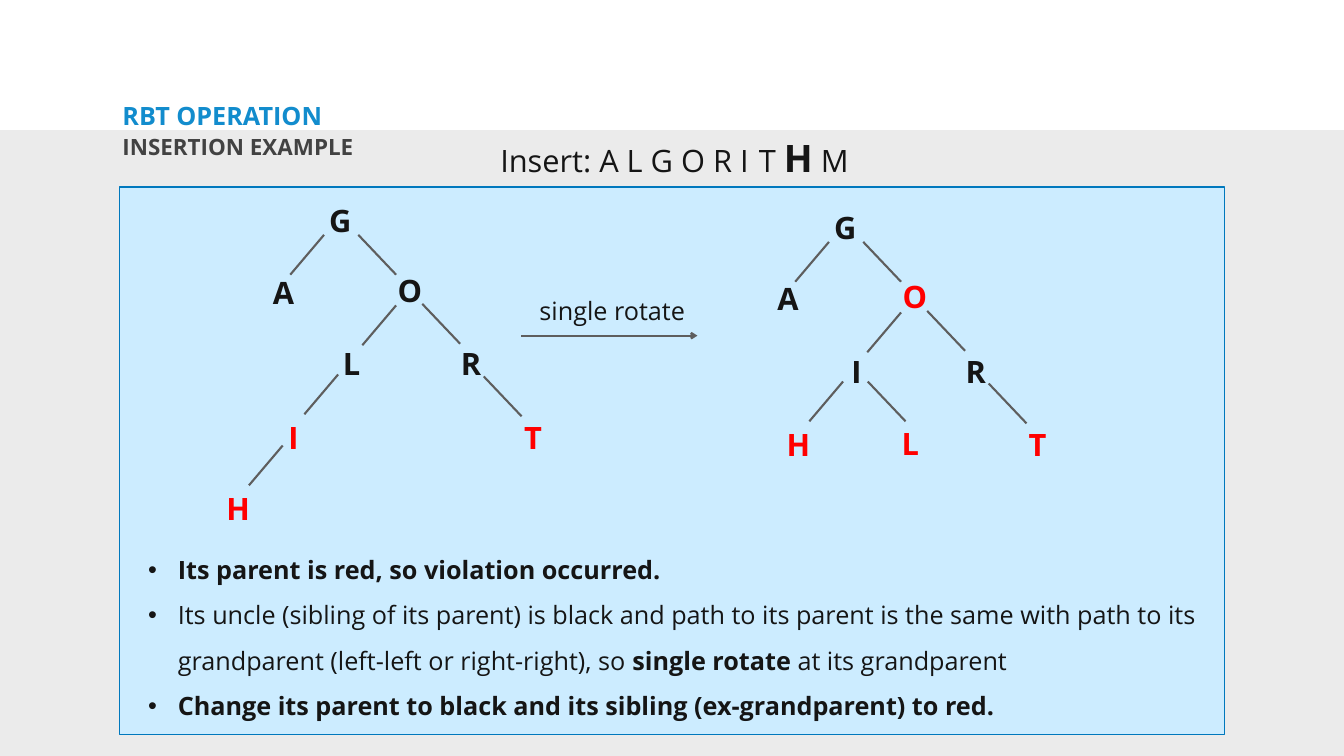
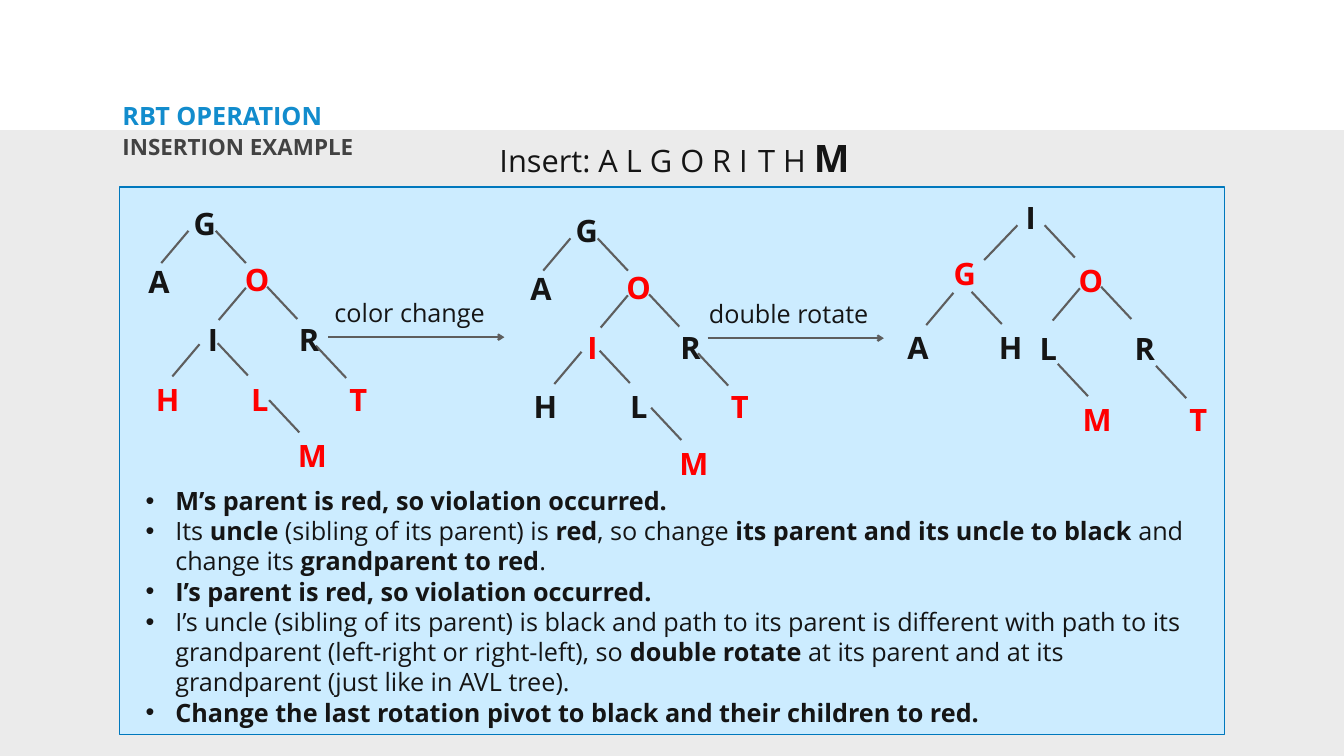
from lxml import etree
from pptx import Presentation
from pptx.dml.color import RGBColor
from pptx.enum.shapes import MSO_CONNECTOR, MSO_SHAPE
from pptx.enum.text import MSO_ANCHOR, MSO_AUTO_SIZE, PP_ALIGN
from pptx.oxml.ns import qn
from pptx.util import Inches, Pt

STRAIGHT = MSO_CONNECTOR.STRAIGHT
RECTANGLE = MSO_SHAPE.RECTANGLE
LEFT, CENTER = PP_ALIGN.LEFT, PP_ALIGN.CENTER
TOP = MSO_ANCHOR.TOP
GROW = MSO_AUTO_SIZE.SHAPE_TO_FIT_TEXT

# Colours and type; strong_size is the size of the bold parts
THEME = {
    "font": "Open Sans",
    "band": RGBColor(0xEB, 0xEB, 0xEB),
    "panel": RGBColor(0xCC, 0xEC, 0xFF),
    "border": RGBColor(0x00, 0x78, 0xBD),
    "edge": RGBColor(0x5E, 0x5E, 0x5E),
    "ink": RGBColor(0x15, 0x15, 0x15),
    "red": RGBColor(0xFF, 0x00, 0x00),
    "title": {"size": 36, "color": RGBColor(0x12, 0x8C, 0xCD), "spacing": 0.8, "inset": 0.06},
    "subtitle": {"size": 32, "color": RGBColor(0x42, 0x42, 0x42), "spacing": 0.9, "inset": 0.06},
    "word": {"size": 44, "strong_size": 54, "align": CENTER, "wrap": False},
    "node": {"size": 44, "align": CENTER, "wrap": False},
    "step": {"size": 36, "align": CENTER},
    "notes": {"size": 36, "bullet": True},
}

# The slide is a grid of square cells, 15 rows high and 26.67 columns wide
ROWS, COLUMNS = 15, 26.67
deck = Presentation()
deck.slide_width, deck.slide_height = Inches(COLUMNS), Inches(ROWS)
CELL = deck.slide_height / ROWS

BAND_TOP = 2.58
PANEL = (2.37, 3.71, 21.93, 10.86)
NODE_HEIGHT = 0.84
NODE_WIDTHS = {"A": 0.63, "G": 0.65, "H": 0.67, "I": 0.41, "L": 0.55,
               "M": 0.78, "O": 0.69, "R": 0.61, "T": 0.56}
ARROW_LENGTH, STEP_WIDTH, STEP_RISE = 3.5, 3.78, 0.85

# Branches run from a start point along one of these vectors
LARGE_LEFT, LARGE_RIGHT = (-0.67, 0.79), (0.75, 0.79)
SMALL_LEFT, SMALL_RIGHT = (-0.54, 0.64), (0.6, 0.64)
WIDE_LEFT = (-0.66, 0.69)

LARGE_BRANCHES = [
    (6.43, 4.66, LARGE_LEFT), (7.11, 4.66, LARGE_RIGHT),
    (7.86, 6.06, LARGE_LEFT), (8.38, 6.03, LARGE_RIGHT),
    (6.71, 7.43, LARGE_LEFT), (9.6, 7.47, LARGE_RIGHT),
]
SMALL_BRANCHES = [
    (3.74, 4.58, SMALL_LEFT), (4.28, 4.58, SMALL_RIGHT),
    (4.88, 5.71, SMALL_LEFT), (5.3, 5.69, SMALL_RIGHT),
    (3.96, 6.83, SMALL_LEFT), (4.32, 6.81, SMALL_RIGHT),
    (6.27, 6.86, SMALL_RIGHT), (5.34, 7.94, SMALL_RIGHT),
]
ROTATED_BRANCHES = [
    (20.19, 4.47, WIDE_LEFT), (20.73, 4.47, SMALL_RIGHT),
    (18.92, 5.81, SMALL_LEFT), (19.28, 5.79, SMALL_RIGHT),
    (21.43, 5.72, SMALL_LEFT), (21.85, 5.69, SMALL_RIGHT),
    (20.99, 7.22, SMALL_RIGHT), (22.94, 7.26, SMALL_RIGHT),
]

# Slide content; text between asterisks is bold
SLIDES = [
    {
        "word": "Insert: A L G O R I* *T *H* M",
        "steps": [("single rotate", 10.26, 10.34, 6.66)],
        "trees": [
            {"red": "ITH", "shift": (0, 0),
             "branches": LARGE_BRANCHES + [(5.61, 8.84, LARGE_LEFT)],
             "nodes": {"G": (6.43, 3.96), "A": (5.31, 5.38), "O": (7.79, 5.34),
                       "L": (6.7, 6.8), "R": (9.04, 6.8), "I": (5.62, 8.25),
                       "T": (10.3, 8.25), "H": (4.39, 9.66)}},
            {"red": "OHLT", "shift": (10.02, 0.14),
             "branches": LARGE_BRANCHES + [(7.2, 7.43, LARGE_RIGHT)],
             "nodes": {"G": (16.45, 4.1), "A": (15.32, 5.51), "O": (17.81, 5.47),
                       "I": (16.79, 6.94), "R": (19.06, 6.94), "H": (15.51, 8.39),
                       "L": (17.79, 8.37), "T": (20.31, 8.39)}},
        ],
        "notes_box": (2.84, 10.65, 21.09, 4.55),
        "notes_spacing": 1.5,
        "notes": [
            "*Its parent is red, so violation occurred.*",
            "Its uncle (sibling of its parent) is black and path to its parent is the same "
            "with path to its grandparent (left-left or right-right), so "
            "*single rotate *at its grandparent",
            "*Change its parent to black and its sibling (ex-grandparent) to red.*",
        ],
    },
    {
        "word": "Insert: A L G O R I* *T H *M*",
        "steps": [("color change", 6.24, 6.51, 6.69), ("double rotate", 13.76, 14.04, 6.71)],
        "trees": [
            {"red": "OHLTM", "shift": (0, 0), "branches": SMALL_BRANCHES,
             "nodes": {"G": (3.74, 4.01), "A": (2.84, 5.16), "O": (4.76, 5.13),
                       "I": (4.02, 6.32), "R": (5.83, 6.32), "H": (2.99, 7.5),
                       "L": (4.88, 7.5), "T": (6.83, 7.5), "M": (5.81, 8.62)}},
            {"red": "OITM", "shift": (7.58, 0.15), "branches": SMALL_BRANCHES,
             "nodes": {"G": (11.32, 4.16), "A": (10.42, 5.31), "O": (12.33, 5.28),
                       "I": (11.55, 6.47), "R": (13.4, 6.47), "H": (10.49, 7.65),
                       "L": (12.4, 7.65), "T": (14.4, 7.65), "M": (13.38, 8.78)}},
            {"red": "GOMT", "shift": (0, 0), "branches": ROTATED_BRANCHES,
             "nodes": {"I": (20.25, 3.9), "G": (18.82, 5.01), "O": (21.3, 5.14),
                       "A": (17.9, 6.47), "H": (19.72, 6.47), "L": (20.53, 6.49),
                       "R": (22.41, 6.49), "M": (21.38, 7.9), "T": (23.5, 7.9)}},
        ],
        "notes_box": (2.79, 9.58, 21.09, 5.55),
        "notes_spacing": 1.0,
        "notes": [
            "*M’s parent is red, so violation occurred.*",
            "Its *uncle* (sibling of its parent) is *red*, so change "
            "*its parent and its uncle to black *and change its *grandparent to red*.",
            "*I’s parent is red, so violation occurred.*",
            "I’s uncle (sibling of its parent) is black and path to its parent is different "
            "with path to its grandparent (left-right or right-left), so "
            "*double rotate *at its parent and at its grandparent (just like in AVL tree).",
            "*Change the last rotation pivot to black and their children to red.*",
        ],
    },
]


def add_text(shapes, place, lines, style):
    box = shapes.add_textbox(*[round(CELL * length) for length in place])
    frame = box.text_frame
    frame_format = {"word_wrap": style.get("wrap", True), "vertical_anchor": TOP}
    if "inset" in style:
        for side in ("left", "right", "top", "bottom"):
            frame_format[f"margin_{side}"] = Inches(style["inset"])
    else:
        frame_format["auto_size"] = GROW
    for name, value in frame_format.items():
        setattr(frame, name, value)
    for number, line in enumerate(lines):
        para = frame.paragraphs[0] if number == 0 else frame.add_paragraph()
        if style.get("bullet"):
            properties = para._p.get_or_add_pPr()
            properties.set("marL", str(Inches(0.59)))
            properties.set("indent", str(-Inches(0.59)))
            etree.SubElement(properties, qn("a:buFont")).set("typeface", "Arial")
            etree.SubElement(properties, qn("a:buChar")).set("char", "•")
        para.alignment = style.get("align", LEFT)
        para.line_spacing = style.get("spacing", 1.0)
        for position, piece in enumerate(line.split("*")):
            if not piece:
                continue
            strong = position % 2 == 1
            size = style.get("strong_size", style["size"]) if strong else style["size"]
            span = para.add_run()
            span.text = piece
            span_format = {"name": THEME["font"], "size": Pt(size), "bold": strong}
            for name, value in span_format.items():
                setattr(span.font, name, value)
            span.font.color.rgb = style.get("color", THEME["ink"])


def add_line(shapes, x, y, vector, arrow=False):
    ends = (x, y, x + vector[0], y + vector[1])
    line = shapes.add_connector(STRAIGHT, *[round(CELL * length) for length in ends])
    line.line.color.rgb = THEME["edge"]
    line.line.width = Pt(3)
    if arrow:
        etree.SubElement(line.line._get_or_add_ln(), qn("a:tailEnd")).set("type", "arrow")
    etree.SubElement(line._element.spPr, qn("a:effectLst"))


for content in SLIDES:
    slide = deck.slides.add_slide(deck.slide_layouts[6])
    shapes = slide.shapes

    # Grey band, heading and framed panel
    band_place = (0, BAND_TOP, COLUMNS, ROWS - BAND_TOP)
    for place, fill, border in ((band_place, "band", None), (PANEL, "panel", "border")):
        block = shapes.add_shape(RECTANGLE, *[round(CELL * length) for length in place])
        block.shadow.inherit = False
        block.fill.solid()
        block.fill.fore_color.rgb = THEME[fill]
        if border:
            block.line.color.rgb = THEME[border]
            block.line.width = Pt(2)
        else:
            block.line.fill.background()
    add_text(shapes, (2.37, 2.05, 16.09, 0.56), ["*RBT OPERATION*"], THEME["title"])
    add_text(shapes, (2.37, 2.65, 10.68, 0.88), ["*INSERTION EXAMPLE*"], THEME["subtitle"])
    add_text(shapes, (9.76, 2.62, 7.25, 1.01), [content["word"]], THEME["word"])

    # Explanation
    notes_style = {**THEME["notes"], "spacing": content["notes_spacing"]}
    add_text(shapes, content["notes_box"], content["notes"], notes_style)

    # Trees, one group each
    for tree in content["trees"]:
        group = shapes.add_group_shape()
        shift_x, shift_y = tree["shift"]
        for x, y, vector in tree["branches"]:
            add_line(group.shapes, x + shift_x, y + shift_y, vector)
        for letter, (left, top) in tree["nodes"].items():
            color = THEME["red" if letter in tree["red"] else "ink"]
            place = (left, top, NODE_WIDTHS[letter], NODE_HEIGHT)
            add_text(group.shapes, place, [f"*{letter}*"], {**THEME["node"], "color": color})

    # Steps between the trees
    for label, label_left, arrow_left, arrow_top in content["steps"]:
        add_line(shapes, arrow_left, arrow_top, (ARROW_LENGTH, 0), arrow=True)
        place = (label_left, arrow_top - STEP_RISE, STEP_WIDTH, 0.71)
        add_text(shapes, place, [label], THEME["step"])

deck.save("out.pptx")
